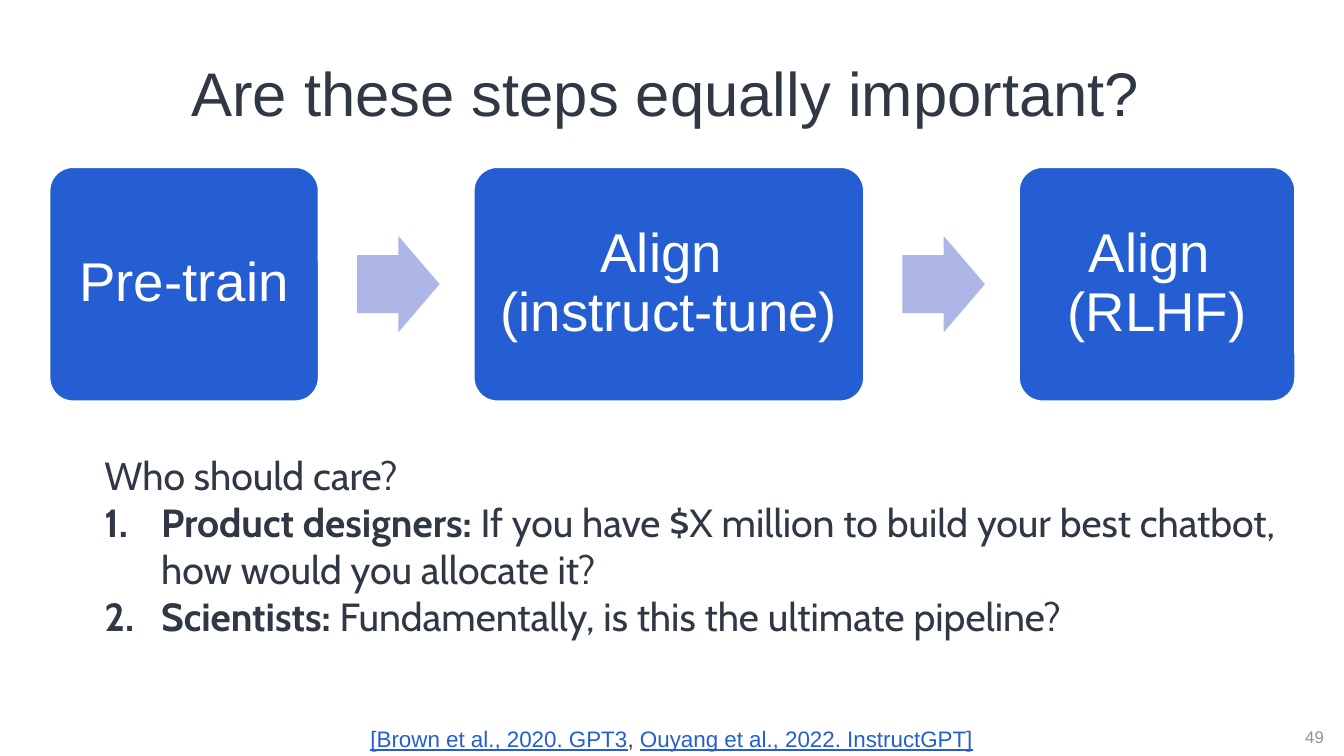
"""Build the slide asking whether the training steps are equally important."""
from lxml import etree
from pptx import Presentation
from pptx.dml.color import RGBColor
from pptx.enum.shapes import MSO_SHAPE
from pptx.enum.text import MSO_ANCHOR, PP_ALIGN
from pptx.oxml.ns import qn
from pptx.util import Pt

CENTER, LEFT = PP_ALIGN.CENTER, PP_ALIGN.LEFT
MIDDLE, TOP = MSO_ANCHOR.MIDDLE, MSO_ANCHOR.TOP
ROUNDED, ARROW = MSO_SHAPE.ROUNDED_RECTANGLE, MSO_SHAPE.RIGHT_ARROW
COLORS = {"ink": "303845", "blue": "255ED3", "arrow": "ADB6E6",
          "white": "FFFFFF", "gray": "8F9194"}

deck = Presentation()
deck.slide_width, deck.slide_height = Pt(960), Pt(540)
page = deck.slides.add_slide(deck.slide_layouts[6])


def add_span(para, text, size, color, font="Arial", bold=False, underline=False):
    """Append one formatted run."""
    span = para.add_run()
    span.text = text
    span.font.size, span.font.name = Pt(size), font
    span.font.bold, span.font.underline = bold, underline
    span.font.color.rgb = RGBColor.from_string(COLORS[color])


def add_box(left, top, width, height, align=CENTER, anchor=MIDDLE):
    """Add a wrapping text box and return its frame and first paragraph."""
    frame = page.shapes.add_textbox(Pt(left), Pt(top), Pt(width), Pt(height)).text_frame
    frame.word_wrap = True
    frame.vertical_anchor = anchor
    frame.paragraphs[0].alignment = align
    return frame, frame.paragraphs[0]


title_frame, title = add_box(16, 29.5, 931.5, 79)
title.line_spacing = 0.9
add_span(title, "Are these steps equally important? ", 44, "ink")

CARD_TOP, CARD_HEIGHT, CARD_GAP = 119.5, 167, 111
ARROW_OFFSET, ARROW_WIDTH, ARROW_HEIGHT = 27.5, 59, 69
steps = [(["Pre-train"], 192), (["Align ", "(instruct-tune)"], 278.5),
         (["Align ", "(RLHF)"], 197)]
left = 35.5
for index, (lines, width) in enumerate(steps):
    card = page.shapes.add_shape(ROUNDED, Pt(left), Pt(CARD_TOP), Pt(width), Pt(CARD_HEIGHT))
    card.adjustments[0] = 0.1
    card.shadow.inherit = False
    card.fill.solid()
    card.fill.fore_color.rgb = RGBColor.from_string(COLORS["blue"])
    card.line.color.rgb = RGBColor.from_string(COLORS["white"])
    card.line.width = Pt(1)
    frame = card.text_frame
    frame.word_wrap = True
    frame.vertical_anchor = MIDDLE
    frame.margin_left = frame.margin_right = Pt(11.5)
    para = frame.paragraphs[0]
    para.alignment, para.line_spacing = CENTER, 0.9
    for number, line in enumerate(lines):
        if number:
            para.add_line_break()
        add_span(para, line, 39, "white")
    if index < len(steps) - 1:
        arrow = page.shapes.add_shape(
            ARROW, Pt(left + width + ARROW_OFFSET),
            Pt(CARD_TOP + (CARD_HEIGHT - ARROW_HEIGHT) / 2), Pt(ARROW_WIDTH), Pt(ARROW_HEIGHT))
        arrow.adjustments[0], arrow.adjustments[1] = 0.6, 0.5
        arrow.shadow.inherit = False
        arrow.fill.solid()
        arrow.fill.fore_color.rgb = RGBColor.from_string(COLORS["arrow"])
        arrow.line.fill.background()
    left += width + CARD_GAP

body, question = add_box(67.5, 319, 850.5, 143.5, LEFT, TOP)
add_span(question, "Who should care?", 28, "ink", "Cabin")
audiences = [
    ("Product designers:",
     " If you have $X million to build your best chatbot, how would you allocate it?"),
    ("Scientists: ", "Fundamentally, is this the ultimate pipeline?"),
]
for audience, concern in audiences:
    para = body.add_paragraph()
    properties = para._p.get_or_add_pPr()
    properties.set("marL", str(Pt(40.5)))
    properties.set("indent", str(Pt(-40.5)))
    etree.SubElement(properties, qn("a:buFont"), typeface="+mj-lt")
    etree.SubElement(properties, qn("a:buAutoNum"), type="arabicPeriod")
    add_span(para, audience, 28, "ink", "Cabin", bold=True)
    add_span(para, concern, 28, "ink", "Cabin")

source_frame, source = add_box(175.5, 508.5, 608.5, 39, anchor=TOP)
source_frame.margin_top = source_frame.margin_bottom = Pt(9.5)
add_span(source, "[Brown et al., 2020. GPT3", 16, "blue", underline=True)
add_span(source, ", ", 16, "ink")
add_span(source, "Ouyang et al., 2022. InstructGPT]", 16, "blue", underline=True)

number_frame, page_number = add_box(918, 512, 42, 29)
add_span(page_number, "49", 12, "gray")

deck.save("out.pptx")
